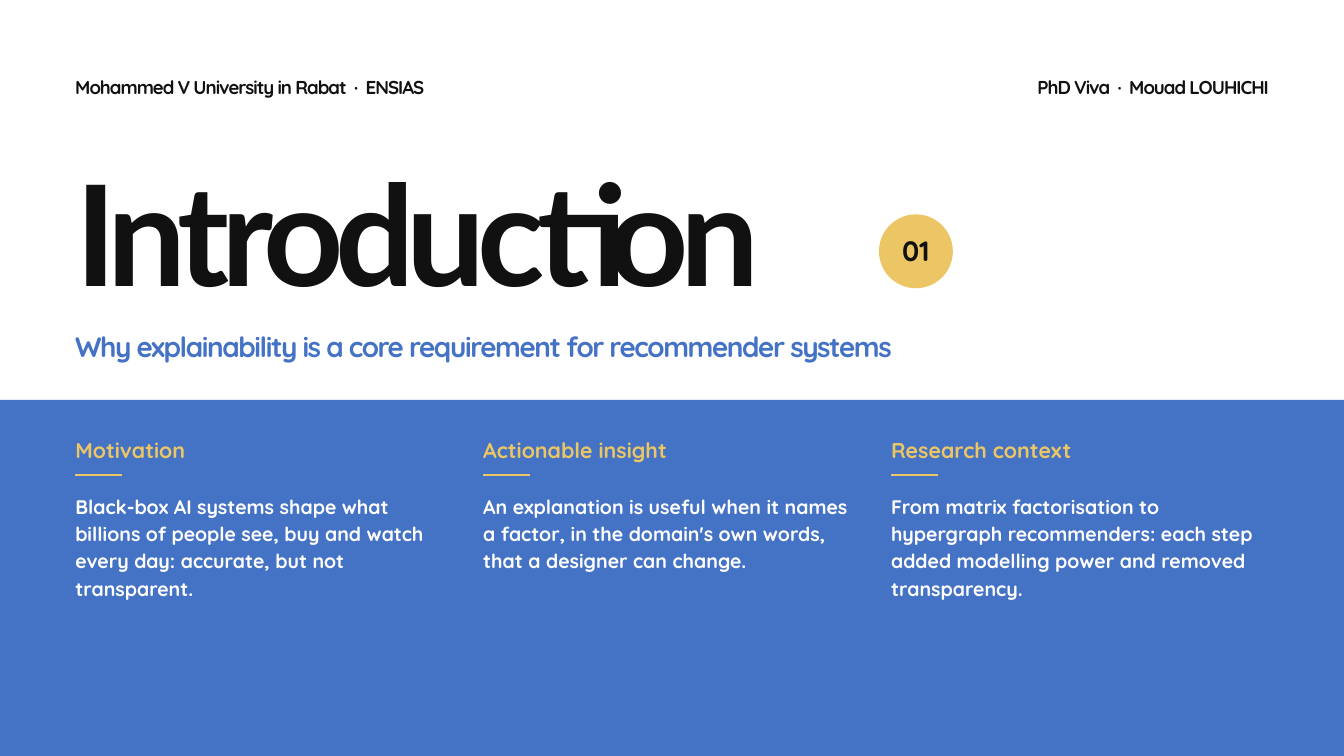
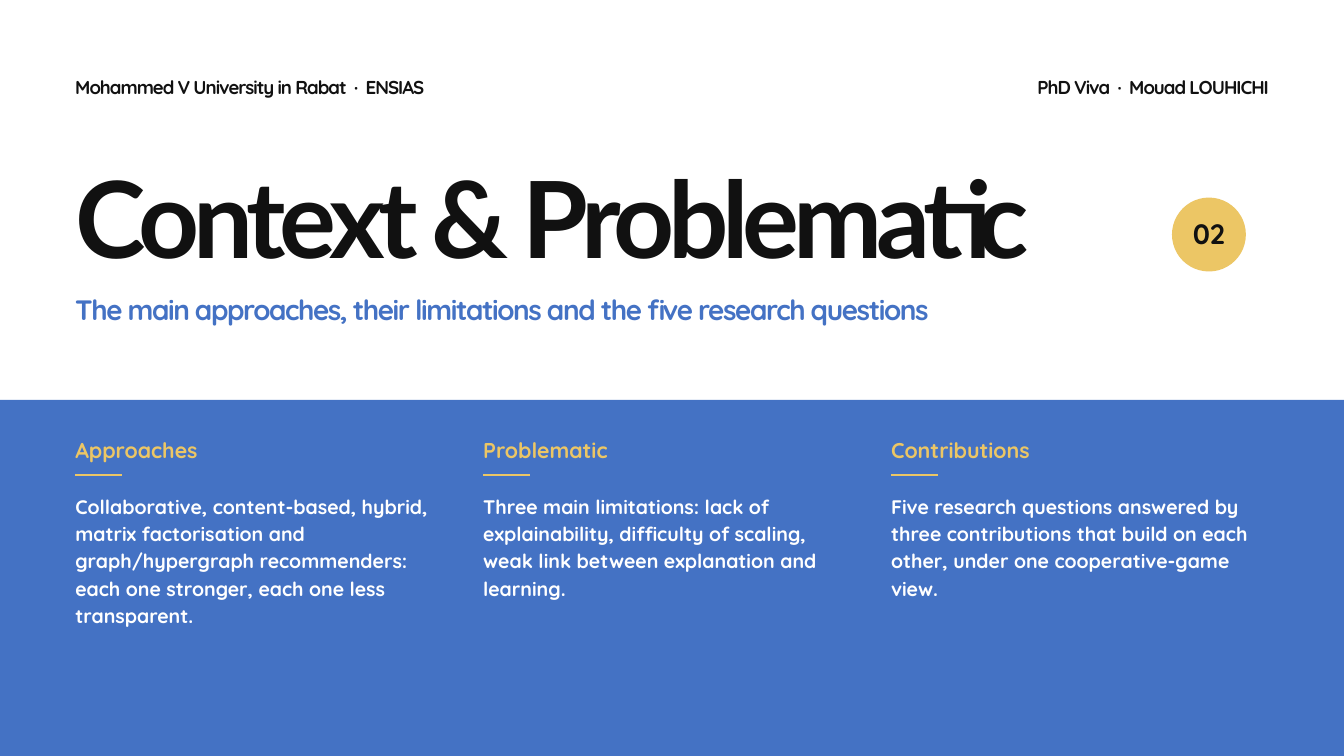
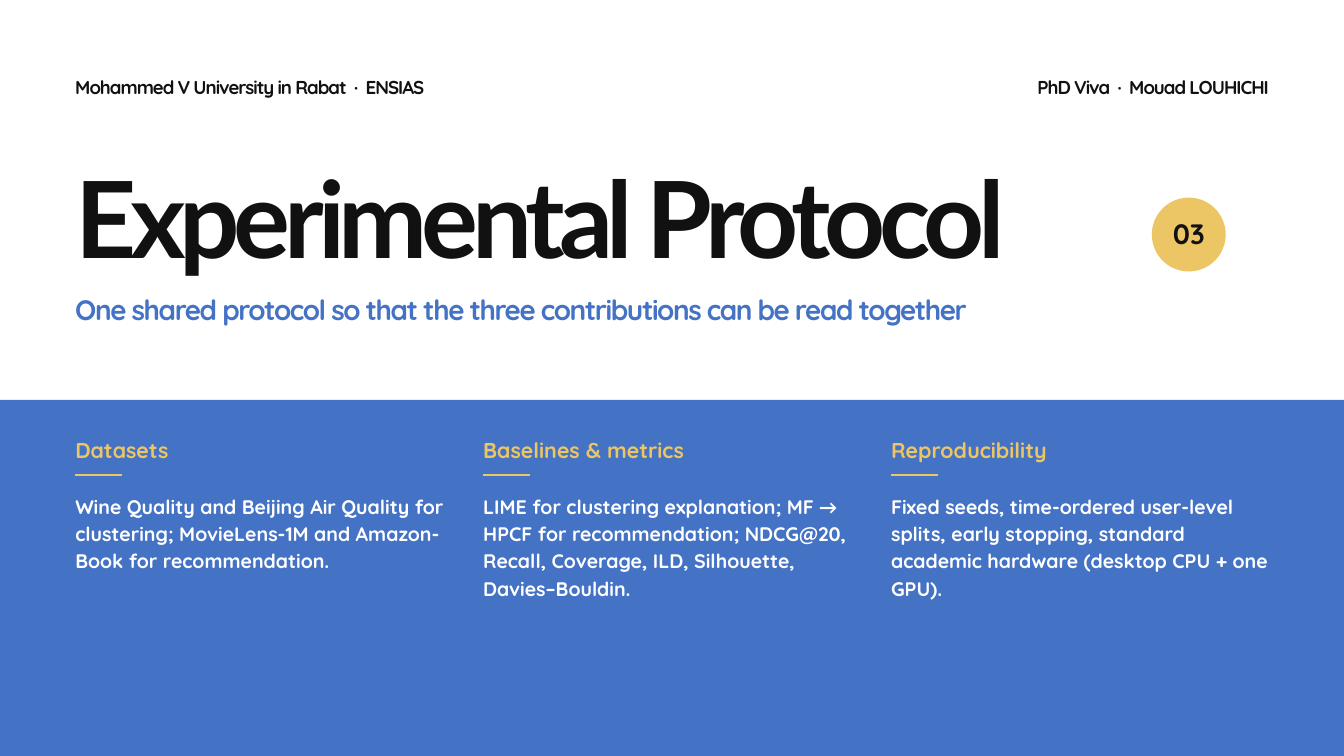
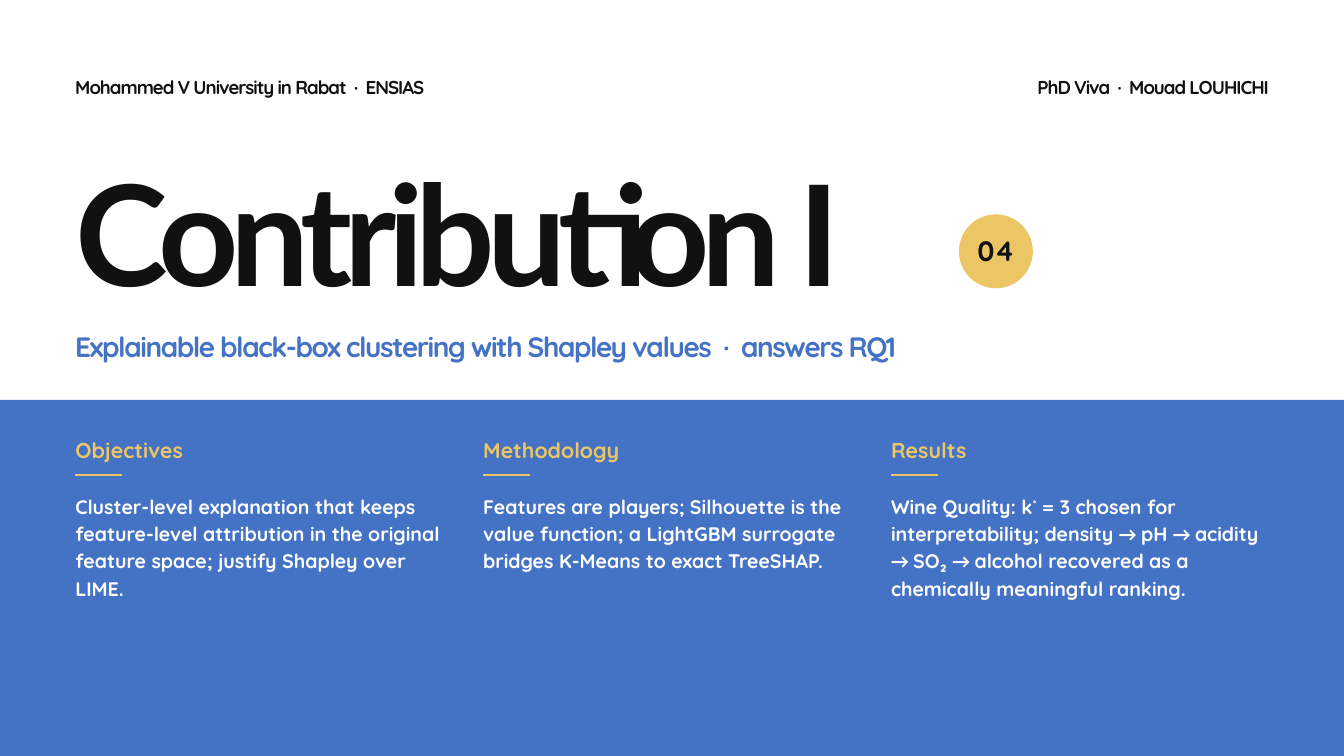
import pptx
import pptx.dml.color
import pptx.enum.shapes
import pptx.enum.text
import pptx.util
import lxml.etree
from dataclasses import dataclass

SLIDE_W, SLIDE_H = 20, 11.25
MARGIN = 1.12
CONTENT_W = SLIDE_W - 2 * MARGIN
COLUMN_W = 5.62
COLUMN_PITCH = (CONTENT_W - COLUMN_W) / 2
HEADER_W = 8
BAND_TOP = 5.95
BADGE_SIZE = 1.1

INK, BLUE, GOLD, WHITE = "111111", "4472C4", "ECC665", "FFFFFF"
HEADER_LEFT = "Mohammed V University in Rabat  ·  ENSIAS"
HEADER_RIGHT = "PhD Viva  ·  Mouad LOUHICHI"

ALIGN = pptx.enum.text.PP_ALIGN
ANCHOR = pptx.enum.text.MSO_ANCHOR
SHAPE = pptx.enum.shapes.MSO_SHAPE


@dataclass
class TextStyle:
    size: float
    leading: float
    color: str
    font: str = "Quicksand"
    tracking: float = 0


@dataclass
class TitleLayout:
    style: TextStyle
    height: float
    badge_top: float
    subtitle_top: float


HEADER = TextStyle(20, 28, INK, tracking=-1.1)
BADGE = TextStyle(30, 34, INK)
SUBTITLE = TextStyle(30, 38, BLUE, tracking=-1.5)
HEADING = TextStyle(23, 28, GOLD)
BODY = TextStyle(21, 29.4, WHITE)
SHORT_TITLE = TitleLayout(TextStyle(150, 153, INK, "Lato", -8.7), 2.5, 3.19, 4.88)
LONG_TITLE = TitleLayout(TextStyle(114, 116.3, INK, "Lato", -6.6), 1.9, 2.94, 4.32)

ARROW, STAR = "→ ", "*"

SECTIONS = [
    ("Introduction", SHORT_TITLE, 13.08,
     "Why explainability is a core requirement for recommender systems",
     [("Motivation",
       ["Black-box AI systems shape what billions of people see, buy and watch "
        "every day: accurate, but not transparent."]),
      ("Actionable insight",
       ["An explanation is useful when it names a factor, in the domain's own "
        "words, that a designer can change."]),
      ("Research context",
       ["From matrix factorisation to hypergraph recommenders: each step added "
        "modelling power and removed transparency."])]),
    ("Context & Problematic", LONG_TITLE, 17.44,
     "The main approaches, their limitations and the five research questions",
     [("Approaches",
       ["Collaborative, content-based, hybrid, matrix factorisation and "
        "graph/hypergraph recommenders: each one stronger, each one less "
        "transparent."]),
      ("Problematic",
       ["Three main limitations: lack of explainability, difficulty of scaling, "
        "weak link between explanation and learning."]),
      ("Contributions",
       ["Five research questions answered by three contributions that build on "
        "each other, under one cooperative-game view."])]),
    ("Experimental Protocol", LONG_TITLE, 17.14,
     "One shared protocol so that the three contributions can be read together",
     [("Datasets",
       ["Wine Quality and Beijing Air Quality for clustering; MovieLens-1M and "
        "Amazon-Book for recommendation."]),
      ("Baselines & metrics",
       ["LIME for clustering explanation; MF ", ARROW,
        "HPCF for recommendation; NDCG@20, Recall, Coverage, ILD, Silhouette, "
        "Davies–Bouldin."]),
      ("Reproducibility",
       ["Fixed seeds, time-ordered user-level splits, early stopping, standard "
        "academic hardware (desktop CPU + one GPU)."])]),
    ("Contribution I", SHORT_TITLE, 14.27,
     "Explainable black-box clustering with Shapley values  ·  answers RQ1",
     [("Objectives",
       ["Cluster-level explanation that keeps feature-level attribution in the "
        "original feature space; justify Shapley over LIME."]),
      ("Methodology",
       ["Features are players; Silhouette is the value function; a LightGBM "
        "surrogate bridges K-Means to exact TreeSHAP."]),
      ("Results",
       ["Wine Quality: k", STAR, " = 3 chosen for interpretability; density ",
        ARROW, "pH ", ARROW, "acidity ", ARROW, "SO₂ ", ARROW,
        "alcohol recovered as a chemically meaningful ranking."])]),
]


def rgb(color):
    return pptx.dml.color.RGBColor.from_string(color)


def inches(*lengths):
    return [pptx.util.Inches(length) for length in lengths]


def write(sp, pieces, style, align=ALIGN.LEFT, anchor=ANCHOR.TOP):
    tf = sp.text_frame
    tf.word_wrap = True
    tf.vertical_anchor = anchor
    tf.margin_left = tf.margin_right = tf.margin_top = tf.margin_bottom = 0
    p = tf.paragraphs[0]
    p.alignment = align
    p.line_spacing = pptx.util.Pt(style.leading)
    for piece in pieces:
        r = p.add_run()
        r.text = piece
        r.font.name = "Calibri" if piece == ARROW else style.font
        r.font.size = pptx.util.Pt(style.size)
        r.font.bold = True
        r.font.color.rgb = rgb(style.color)
        props = r.font._element
        if style.tracking:
            props.set("spc", str(round(style.tracking * 100)))
        if piece == STAR:
            props.set("baseline", "30000")


def add_text(s, left, top, width, height, pieces, style, align=ALIGN.LEFT):
    sp = s.shapes.add_textbox(*inches(left, top, width, height))
    write(sp, pieces, style, align)


def add_filled(s, kind, left, top, width, height, color):
    sp = s.shapes.add_shape(kind, *inches(left, top, width, height))
    sp.shadow.inherit = False
    sp.fill.solid()
    sp.fill.fore_color.rgb = rgb(color)
    sp.line.fill.background()
    return sp


def add_rule(s, left, top, width):
    line = s.shapes.add_connector(pptx.enum.shapes.MSO_CONNECTOR.STRAIGHT,
                                  *inches(left, top, left + width, top))
    line.line.color.rgb = rgb(GOLD)
    line.line.width = pptx.util.Pt(2.5)
    lxml.etree.SubElement(line._element.spPr, pptx.oxml.ns.qn("a:effectLst"))


def add_header(s):
    add_text(s, MARGIN, 1.08, HEADER_W, 0.4, [HEADER_LEFT], HEADER)
    add_text(s, SLIDE_W - MARGIN - HEADER_W, 1.08, HEADER_W, 0.4,
             [HEADER_RIGHT], HEADER, ALIGN.RIGHT)


def add_title(s, number, title, layout, badge_left, subtitle):
    add_text(s, MARGIN, 2.55, 16.25, layout.height, [title], layout.style)
    badge = add_filled(s, SHAPE.OVAL, badge_left, layout.badge_top,
                       BADGE_SIZE, BADGE_SIZE, GOLD)
    write(badge, [f"{number:02}"], BADGE, ALIGN.CENTER, ANCHOR.MIDDLE)
    add_text(s, MARGIN, layout.subtitle_top, CONTENT_W, 0.7, [subtitle], SUBTITLE)


def add_column(s, index, heading, body):
    left = MARGIN + index * COLUMN_PITCH
    add_text(s, left, BAND_TOP + 0.55, COLUMN_W, 0.5, [heading], HEADING)
    add_rule(s, left, BAND_TOP + 1.12, 0.7)
    add_text(s, left, BAND_TOP + 1.35, COLUMN_W, 3.4, body, BODY)


def main():
    prs = pptx.Presentation()
    prs.slide_width, prs.slide_height = inches(SLIDE_W, SLIDE_H)
    for number, (title, layout, badge_left, subtitle, columns) in enumerate(SECTIONS, 1):
        s = prs.slides.add_slide(prs.slide_layouts[6])
        add_header(s)
        add_title(s, number, title, layout, badge_left, subtitle)
        add_filled(s, SHAPE.RECTANGLE, 0, BAND_TOP, SLIDE_W, SLIDE_H - BAND_TOP, BLUE)
        for index, (heading, body) in enumerate(columns):
            add_column(s, index, heading, body)
    prs.save("out.pptx")


if __name__ == "__main__":
    main()
